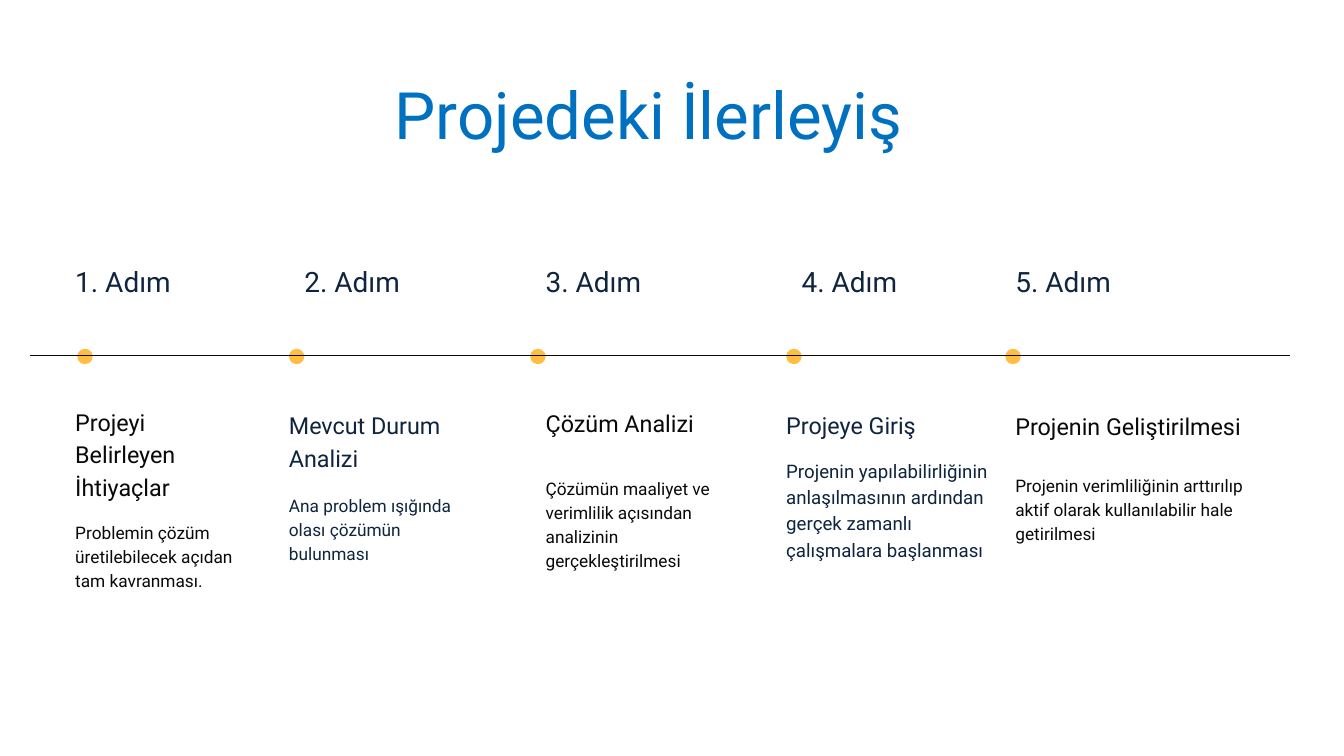
import pptx
import pptx.util
import pptx.dml.color
import pptx.enum.shapes
import pptx.enum.text
import pptx.oxml
from dataclasses import dataclass


@dataclass(frozen=True)
class Theme:
    font: str = "Roboto"
    blue: str = "0070C0"
    navy: str = "0F243E"
    black: str = "090909"
    amber: str = "FFBE40"
    title: float = 70
    step: float = 30
    heading: float = 25
    body: float = 18.5
    large_body: float = 20


theme = Theme()
rgb = pptx.dml.color.RGBColor.from_string
PP_ALIGN = pptx.enum.text.PP_ALIGN

prs = pptx.Presentation()
prs.slide_width = pptx.util.Inches(20)
prs.slide_height = pptx.util.Inches(11.25)
s = prs.slides.add_slide(prs.slide_layouts[6])
col = prs.slide_width / 20
row = prs.slide_height / 11.25


def add_text(text, *, x, y, w, h, size, color, leading=1.4, align=PP_ALIGN.LEFT):
    sp = s.shapes.add_textbox(int(x * col), int(y * row), int(w * col), int(h * row))
    tf = sp.text_frame
    tf.word_wrap = True
    tf.margin_left = tf.margin_right = tf.margin_top = tf.margin_bottom = 0
    p = tf.paragraphs[0]
    p.alignment = align
    p.line_spacing = pptx.util.Pt(size * leading)
    r = p.add_run()
    r.text = text
    r.font.name = theme.font
    r.font.size = pptx.util.Pt(size)
    r.font.color.rgb = rgb(color)


add_text("Projedeki İlerleyiş", x=1.12, y=1.11, w=17.06, h=1.13, size=theme.title,
         color=theme.blue, leading=1.2, align=PP_ALIGN.CENTER)

dot = 0.23
axis_y = 5.29
steps = [
    dict(dot_x=1.15, label_x=1.12, x=1.12, w=2.56, color=theme.black, size=theme.body,
         heading=("Projeyi Belirleyen İhtiyaçlar", 6, 1.44),
         body=("Problemin çözüm üretilebilecek açıdan tam kavranması.", 7.72, 1.06)),
    dict(dot_x=4.3, label_x=4.53, x=4.3, w=2.56, color=theme.navy, size=theme.body,
         heading=("Mevcut Durum Analizi", 6.05, 0.98),
         body=("Ana problem ışığında olası çözümün bulunması", 7.32, 1.09)),
    dict(dot_x=7.89, label_x=8.12, x=8.12, w=2.56, color=theme.black, size=theme.body,
         heading=("Çözüm Analizi", 6.02, 0.46),
         body=("Çözümün maaliyet ve verimlilik açısından analizinin gerçekleştirilmesi", 7.06, 1.42)),
    dict(dot_x=11.7, label_x=11.93, x=11.7, w=3.06, color=theme.navy, size=theme.large_body,
         heading=("Projeye Giriş", 6.05, 0.46),
         body=("Projenin yapılabilirliğinin anlaşılmasının ardından gerçek zamanlı "
               "çalışmalara başlanması", 6.79, 1.57)),
    dict(dot_x=14.96, label_x=15.11, x=15.11, w=3.5, color=theme.black, size=theme.body,
         heading=("Projenin Geliştirilmesi", 6.06, 0.46),
         body=("Projenin verimliliğinin arttırılıp aktif olarak kullanılabilir hale getirilmesi",
               7.02, 1.06)),
]

for number, step in enumerate(steps, 1):
    sp = s.shapes.add_shape(pptx.enum.shapes.MSO_SHAPE.OVAL, int(step["dot_x"] * col),
                            int(5.19 * row), int(dot * col), int(dot * row))
    sp.shadow.inherit = False
    sp.fill.solid()
    sp.fill.fore_color.rgb = rgb(theme.amber)
    sp.line.fill.background()

    add_text(f"{number}. Adım", x=step["label_x"], y=3.94, w=2.56, h=0.52,
             size=theme.step, color=theme.navy, leading=1.2)
    for part, size in (("heading", theme.heading), ("body", step["size"])):
        text, y, h = step[part]
        add_text(text, x=step["x"], y=y, w=step["w"], h=h, size=size, color=step["color"])

axis = s.shapes.add_connector(pptx.enum.shapes.MSO_CONNECTOR.STRAIGHT, int(0.44 * col),
                              int(axis_y * row), int(19.2 * col), int(axis_y * row))
axis.line.color.rgb = rgb(theme.black)
axis.line.width = pptx.util.Pt(1.5)
axis._element.spPr.append(pptx.oxml.parse_xml(
    '<a:effectLst xmlns:a="http://schemas.openxmlformats.org/drawingml/2006/main"/>'))

prs.save("out.pptx")
